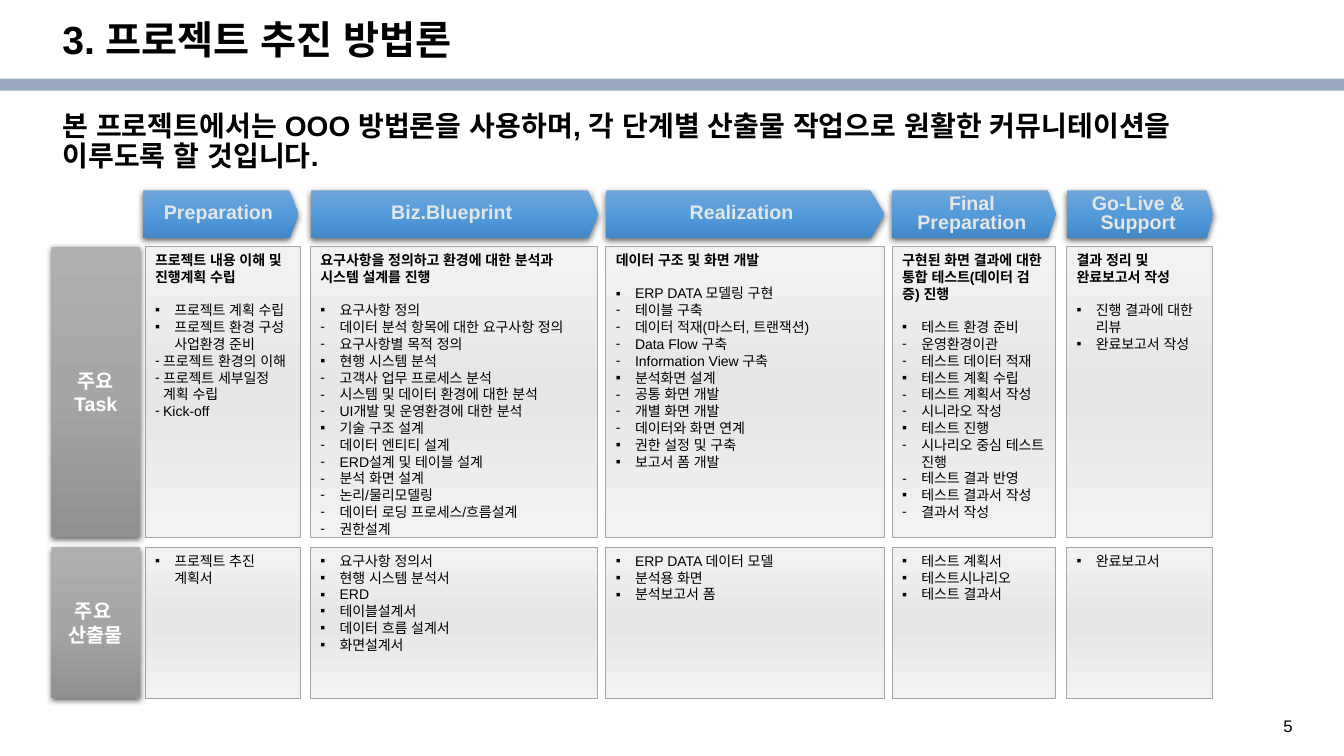
import pptx
import pptx.dml.color
import pptx.enum.shapes
import pptx.enum.text
import pptx.oxml
import pptx.oxml.ns
import pptx.util
from pptx.util import Inches

RGBColor = pptx.dml.color.RGBColor
SHAPES = pptx.enum.shapes.MSO_SHAPE
ALIGN = pptx.enum.text.PP_ALIGN
ANCHOR = pptx.enum.text.MSO_ANCHOR

BLACK = RGBColor(0x00, 0x00, 0x00)
WHITE = RGBColor(0xFF, 0xFF, 0xFF)
PHASE_TEXT = RGBColor(0xE7, 0xE6, 0xE6)
BAND = RGBColor(0x98, 0xA8, 0xBD)
BORDER = RGBColor(0xA5, 0xA5, 0xA5)
PANEL_GRADIENT = (RGBColor(0xF2, 0xF2, 0xF2), RGBColor(0xE6, 0xE6, 0xE6), RGBColor(0xF2, 0xF2, 0xF2))
PHASE_GRADIENT = (RGBColor(0x70, 0xA5, 0xDA), RGBColor(0x53, 0x9B, 0xDB), RGBColor(0x42, 0x88, 0xC8))
LABEL_GRADIENT = (RGBColor(0xAF, 0xAF, 0xAF), RGBColor(0xA5, 0xA5, 0xA5), RGBColor(0x91, 0x91, 0x91))

FONT = "Arial"
INDENT = 0.19
PHASE_TOP, PHASE_HEIGHT = 1.89, 0.47
TASK_TOP, TASK_HEIGHT = 2.45, 2.88
OUTPUT_TOP, OUTPUT_HEIGHT = 5.43, 1.5
LABEL_LEFT, LABEL_WIDTH = 0.51, 0.88

# Name, left, width, arrow shift, arrow point, dash indent, summary, tasks, outputs
PHASES = [
    ("Preparation", 1.44, 1.54, -0.02, 0.19, 0.08, "프로젝트 내용 이해 및 진행계획 수립",
     ["▪ 프로젝트 계획 수립", "▪ 프로젝트 환경 구성 사업환경 준비", "- 프로젝트 환경의 이해",
      "- 프로젝트 세부일정 계획 수립", "- Kick-off"],
     ["▪ 프로젝트 추진 계획서"]),
    ("Biz.Blueprint", 3.08, 2.85, 0, 0.207, INDENT,
     "요구사항을 정의하고 환경에 대한 분석과 시스템 설계를 진행",
     ["▪ 요구사항 정의", "- 데이터 분석 항목에 대한 요구사항 정의", "- 요구사항별 목적 정의",
      "▪ 현행 시스템 분석", "- 고객사 업무 프로세스 분석", "- 시스템 및 데이터 환경에 대한 분석",
      "- UI개발 및 운영환경에 대한 분석", "▪ 기술 구조 설계", "- 데이터 엔티티 설계",
      "- ERD설계 및 테이블 설계", "- 분석 화면 설계", "- 논리/물리모델링",
      "- 데이터 로딩 프로세스/흐름설계", "- 권한설계"],
     ["▪ 요구사항 정의서", "▪ 현행 시스템 분석서", "▪ ERD", "▪ 테이블설계서",
      "▪ 데이터 흐름 설계서", "▪ 화면설계서"]),
    ("Realization", 6.01, 2.76, 0, 0.29, INDENT, "데이터 구조 및 화면 개발",
     ["▪ ERP DATA 모델링 구현", "- 테이블 구축", "- 데이터 적재(마스터, 트랜잭션)",
      "- Data Flow 구축", "- Information View 구축", "▪ 분석화면 설계", "- 공통 화면 개발",
      "- 개별 화면 개발", "- 데이터와 화면 연계", "▪ 권한 설정 및 구축", "▪ 보고서 폼 개발"],
     ["▪ ERP DATA 데이터 모델", "▪ 분석용 화면", "▪ 분석보고서 폼"]),
    ("Final Preparation", 8.85, 1.62, 0, 0.166, INDENT,
     "구현된 화면 결과에 대한 통합 테스트(데이터 검증) 진행",
     ["▪ 테스트 환경 준비", "- 운영환경이관", "- 테스트 데이터 적재", "▪ 테스트 계획 수립",
      "- 테스트 계획서 작성", "- 시니라오 작성", "▪ 테스트 진행", "- 시나리오 중심 테스트 진행",
      "- 테스트 결과 반영", "▪ 테스트 결과서 작성", "- 결과서 작성"],
     ["▪ 테스트 계획서", "▪ 테스트시나리오", "▪ 테스트 결과서"]),
    ("Go-Live & Support", 10.58, 1.45, 0, 0.137, INDENT, "결과 정리 및 완료보고서 작성",
     ["▪ 진행 결과에 대한 리뷰", "▪ 완료보고서 작성"],
     ["▪ 완료보고서"]),
]


def drawing_element(xml):
    """Build an element from XML whose root tag is in the a: namespace."""
    tag, rest = xml[:xml.index(">")], xml[xml.index(">"):]
    return pptx.oxml.parse_xml(f"{tag} {pptx.oxml.ns.nsdecls('a')}{rest}")


def write_paragraph(paragraph, text, size=10, color=BLACK, bold=False, align=ALIGN.LEFT,
                    line_spacing=1.0, space_after=0):
    run = paragraph.add_run()
    run.text = text
    run.font.name = FONT
    run.font.size = pptx.util.Pt(size)
    run.font.bold = bold
    run.font.color.rgb = color
    run.font._element.append(drawing_element(f'<a:ea typeface="{FONT}"></a:ea>'))
    paragraph.alignment = align
    paragraph.line_spacing = line_spacing
    paragraph.space_after = pptx.util.Pt(space_after)


def add_bullet(paragraph, character, indent):
    properties = paragraph._p.get_or_add_pPr()
    properties.set("marL", str(Inches(indent)))
    properties.set("indent", str(-Inches(indent)))
    properties.append(drawing_element('<a:buClr><a:srgbClr val="000000"/></a:buClr>'))
    properties.append(drawing_element(f'<a:buFont typeface="{FONT}"></a:buFont>'))
    properties.append(drawing_element(f'<a:buChar char="{character}"></a:buChar>'))


def next_paragraph(frame):
    """Return the first paragraph while it is empty, otherwise a new one."""
    return frame.add_paragraph() if frame.paragraphs[0].runs else frame.paragraphs[0]


def add_text(slide, text, left, top, width, height, anchor=ANCHOR.TOP, **text_format):
    box = slide.shapes.add_textbox(Inches(left), Inches(top), Inches(width), Inches(height))
    box.text_frame.word_wrap = True
    box.text_frame.vertical_anchor = anchor
    write_paragraph(box.text_frame.paragraphs[0], text, **text_format)


def add_block(slide, kind, left, top, width, height, anchor=ANCHOR.MIDDLE):
    shape = slide.shapes.add_shape(kind, Inches(left), Inches(top), Inches(width), Inches(height))
    shape.shadow.inherit = False
    shape.line.fill.background()
    shape.text_frame.word_wrap = True
    shape.text_frame.vertical_anchor = anchor
    return shape


def fill_gradient(shape, colors):
    """Fill from top to bottom with evenly spaced colours."""
    shape.fill.gradient()
    shape.fill.gradient_angle = 270
    stops = shape._element.spPr.find(".//" + pptx.oxml.ns.qn("a:gsLst"))
    for stop in list(stops):
        stops.remove(stop)
    for index, color in enumerate(colors):
        position = 100000 * index // (len(colors) - 1)
        stops.append(drawing_element(f'<a:gs pos="{position}"><a:srgbClr val="{color}"/></a:gs>'))


def add_shadow(shape):
    effects = shape._element.spPr.find(pptx.oxml.ns.qn("a:effectLst"))
    effects.append(drawing_element(
        '<a:outerShdw blurRad="57150" dist="19050" dir="5400000" algn="ctr" rotWithShape="0">'
        '<a:srgbClr val="000000"><a:alpha val="62000"/></a:srgbClr></a:outerShdw>'))


def add_raised_block(slide, kind, text, left, top, width, height, point, colors, **text_format):
    """Add a shaded block with a shadow; each line of text is a paragraph."""
    shape = add_block(slide, kind, left, top, width, height)
    shape.adjustments[0] = point
    fill_gradient(shape, colors)
    add_shadow(shape)
    for line in text.split("\n"):
        write_paragraph(next_paragraph(shape.text_frame), line, size=14, bold=True,
                        align=ALIGN.CENTER, **text_format)


def add_panel(slide, items, left, top, width, height, dash_indent, summary=None):
    panel = add_block(slide, SHAPES.RECTANGLE, left, top, width, height, ANCHOR.TOP)
    fill_gradient(panel, PANEL_GRADIENT)
    panel.line.color.rgb = BORDER
    panel.line.width = pptx.util.Pt(0.75)
    if summary:
        write_paragraph(panel.text_frame.paragraphs[0], summary, bold=True, space_after=11.5)
    for item in items:
        character, text = item.split(" ", 1)
        paragraph = next_paragraph(panel.text_frame)
        write_paragraph(paragraph, text)
        add_bullet(paragraph, character, dash_indent if character == "-" else INDENT)


def main():
    presentation = pptx.Presentation()
    presentation.slide_width = Inches(13.33)
    presentation.slide_height = Inches(7.5)
    slide = presentation.slides.add_slide(presentation.slide_layouts[6])

    band = add_block(slide, SHAPES.RECTANGLE, 0, 0.78, 13.33, 0.12)
    band.fill.solid()
    band.fill.fore_color.rgb = BAND
    add_text(slide, "5", 12.63, 7.05, 0.52, 0.27, size=12)
    add_text(slide, "3. 프로젝트 추진 방법론", 0.52, 0.15, 11.5, 0.53, ANCHOR.MIDDLE,
             size=28, bold=True, line_spacing=0.9)
    add_text(slide, "본 프로젝트에서는 OOO 방법론을 사용하며, 각 단계별 산출물 작업으로 "
             "원활한 커뮤니테이션을 이루도록 할 것입니다.", 0.52, 1.06, 12.01, 0.71,
             size=20, bold=True, line_spacing=0.9)

    for name, left, width, shift, point, dash_indent, summary, tasks, outputs in PHASES:
        add_panel(slide, tasks, left, TASK_TOP, width, TASK_HEIGHT, dash_indent, summary)
        add_panel(slide, outputs, left, OUTPUT_TOP, width, OUTPUT_HEIGHT, dash_indent)
        add_raised_block(slide, SHAPES.PENTAGON, name, left + shift, PHASE_TOP, width, PHASE_HEIGHT,
                         point, PHASE_GRADIENT, color=PHASE_TEXT, line_spacing=0.8)

    for label, top, height in (("주요 Task", TASK_TOP, TASK_HEIGHT),
                               ("주요 \n산출물", OUTPUT_TOP, OUTPUT_HEIGHT)):
        add_raised_block(slide, SHAPES.ROUNDED_RECTANGLE, label, LABEL_LEFT, top, LABEL_WIDTH, height,
                         0, LABEL_GRADIENT, color=WHITE)

    presentation.save("out.pptx")


if __name__ == "__main__":
    main()
